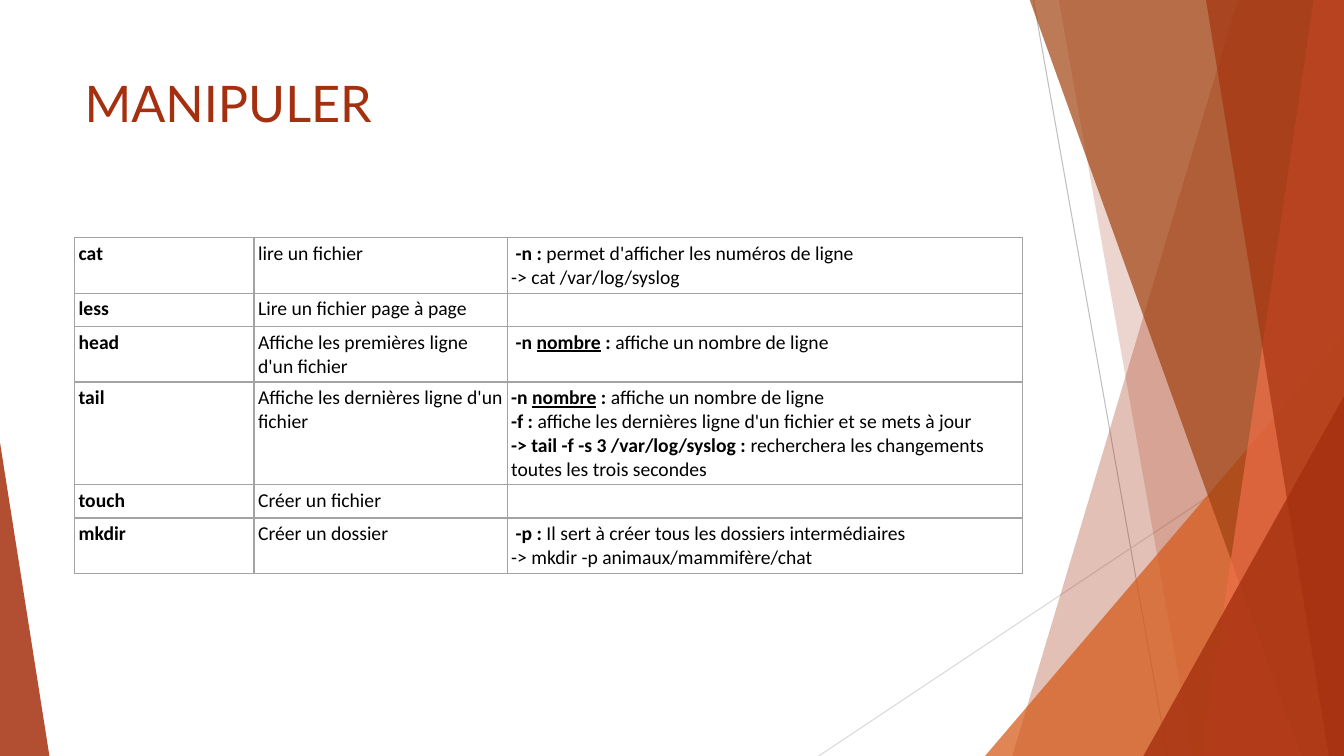
from collections import namedtuple
from dataclasses import dataclass

from lxml.etree import SubElement
from pptx import Presentation
from pptx.dml.color import RGBColor
from pptx.enum.shapes import MSO_CONNECTOR, MSO_SHAPE
from pptx.enum.text import MSO_ANCHOR
from pptx.oxml import parse_xml
from pptx.oxml.ns import nsdecls, qn
from pptx.util import Pt

PX = 9144
Box = namedtuple("Box", "left top width height")
Veil = namedtuple("Veil", "top_left bottom_left colour opacity")
Wedge = namedtuple("Wedge", "left top width height lean colour opacity")


@dataclass(frozen=True)
class Theme:
    """Colours, fonts and type sizes of the slide."""
    rust: str = "A5300F"
    orange: str = "D55816"
    brown: str = "A04210"
    coral: str = "EE6E4A"
    ink: str = "000000"
    grid: str = "A3A3A3"
    grey: str = "BFBFBF"
    pale: str = "D9D9D9"
    title_font: str = "Lato"
    body_font: str = "Calibri"
    title_size: int = 36
    body_size: int = 14
    hairline: float = 0.75
    border: int = 1


THEME = Theme()
PLAIN, BOLD = {"bold": False}, {"bold": True}
KEY = {"bold": True, "underline": True}

SLIDE = Box(0, 0, 1333, 750)
TITLE = Box(74, 67, 940, 144)
COMMANDS = Box(74, 236, 940, 333)

RAYS = [((1025, 0), (1158, 750), THEME.grey), ((1333, 403), (812, 750), THEME.pale)]
FACETS = [
    Veil(1228, 1004, THEME.rust, 30),
    Veil(1050, 1183, THEME.rust, 20),
    Wedge(977, 333, 356, 417, 1, THEME.orange, 72),
    Veil(1021, 1291, THEME.brown, 70),
    Veil(1303, 1192, THEME.coral, 70),
    Veil(1196, 1318, THEME.rust, 65),
    Wedge(1134, 393, 199, 357, 1, THEME.rust, 80),
    Wedge(0, 439, 49, 311, 0, THEME.rust, 85),
]

COLUMN_WIDTHS = [178, 251, 511]
ROW_HEIGHTS = [55, 33, 55, 102, 33, 55]
COUNT_OPTION = [("-n ", BOLD), ("nombre", KEY), (" : ", BOLD),
                ("affiche un nombre de ligne", PLAIN)]
INDENT = (" ", PLAIN)
ROWS = [
    ("cat", "lire un fichier", [
        [INDENT, ("-n : ", BOLD), ("permet d'afficher les numéros de ligne", PLAIN)],
        [("-> cat /var/log/syslog", PLAIN)]]),
    ("less", "Lire un fichier page à page", [[]]),
    ("head", "Affiche les premières ligne d'un fichier", [[INDENT, *COUNT_OPTION]]),
    ("tail", "Affiche les dernières ligne d'un fichier", [
        COUNT_OPTION,
        [("-f : ", BOLD),
         ("affiche les dernières ligne d'un fichier et se mets à jour", PLAIN)],
        [("-> tail -f -s 3 /var/log/syslog : ", BOLD),
         ("recherchera les changements toutes les trois secondes", PLAIN)]]),
    ("touch", "Créer un fichier", [[]]),
    ("mkdir", "Créer un dossier", [
        [INDENT, ("-p : ", BOLD),
         ("Il sert à créer tous les dossiers intermédiaires", PLAIN)],
        [("-> mkdir -p animaux/mammifère/chat", PLAIN)]]),
]


def to_emu(*lengths):
    """Turn px lengths into EMU."""
    return [length * PX for length in lengths]


def add_run(paragraph, wording, colour, formats):
    """Append a run with the given font values."""
    run = paragraph.add_run()
    run.text = wording
    run.font.color.rgb = RGBColor.from_string(colour)
    for name, value in formats.items():
        setattr(run.font, name, value)


def tint(facet_shape, colour, opacity):
    """Fill a facet with a translucent colour and no outline."""
    facet_shape.shadow.inherit = False
    facet_shape.line.fill.background()
    facet_shape.fill.solid()
    facet_shape.fill.fore_color.rgb = RGBColor.from_string(colour)
    srgb = facet_shape.fill._xPr.find(".//" + qn("a:srgbClr"))
    SubElement(srgb, qn("a:alpha"), val=str(opacity * 1000))


def add_ray(slide, box, start, end, colour):
    """Draw one thin line across the backdrop."""
    ray = slide.shapes.add_connector(
        MSO_CONNECTOR.STRAIGHT,
        *to_emu(box.left + start[0], box.top + start[1],
                box.left + end[0], box.top + end[1]))
    ray.line.color.rgb = RGBColor.from_string(colour)
    ray.line.width = Pt(THEME.hairline)
    SubElement(ray._element.spPr, qn("a:effectLst"))


def add_veil(slide, box, veil):
    """Draw a facet reaching from its slanted side to the right edge."""
    right, bottom, top = box.left + box.width, box.top + box.height, box.top - 1
    outline = slide.shapes.build_freeform(box.left + veil.top_left, top, scale=PX)
    outline.add_line_segments(
        [(right, top), (right, bottom), (box.left + veil.bottom_left, bottom)])
    tint(outline.convert_to_shape(), veil.colour, veil.opacity)


def add_wedge(slide, box, wedge):
    """Draw a right-angled triangle leaning on a side of the slide."""
    triangle = slide.shapes.add_shape(
        MSO_SHAPE.ISOSCELES_TRIANGLE,
        *to_emu(box.left + wedge.left, box.top + wedge.top, wedge.width, wedge.height))
    triangle.adjustments[0] = wedge.lean
    tint(triangle, wedge.colour, wedge.opacity)


def add_backdrop(slide, box):
    """Draw the rays and facets from back to front."""
    for start, end, colour in RAYS:
        add_ray(slide, box, start, end, colour)
    for facet in FACETS:
        draw = add_veil if isinstance(facet, Veil) else add_wedge
        draw(slide, box, facet)


def add_title(slide, box):
    """Write the slide title at the top of its box."""
    frame = slide.shapes.add_textbox(*to_emu(*box)).text_frame
    frame.word_wrap = True
    frame.vertical_anchor = MSO_ANCHOR.TOP
    add_run(frame.paragraphs[0], "MANIPULER", THEME.rust,
            {"name": THEME.title_font, "size": Pt(THEME.title_size)})


def add_borders(cell):
    """Give a cell a thin line on each side."""
    for position, side in enumerate("LRTB"):
        cell._tc.get_or_add_tcPr().insert(position, parse_xml(
            f'<a:ln{side} {nsdecls("a")} w="{Pt(THEME.border)}"><a:solidFill>'
            f'<a:srgbClr val="{THEME.grid}"/></a:solidFill></a:ln{side}>'))


def fill_cell(cell, paragraphs):
    """Write the paragraphs of one cell and style it."""
    for side in ("left", "right", "top", "bottom"):
        setattr(cell, f"margin_{side}", 4 * PX)
    cell.fill.background()
    add_borders(cell)
    body = {"name": THEME.body_font, "size": Pt(THEME.body_size)}
    for index, runs in enumerate(paragraphs):
        frame = cell.text_frame
        paragraph = frame.add_paragraph() if index else frame.paragraphs[0]
        for wording, formats in runs:
            add_run(paragraph, wording, THEME.ink, {**body, **formats})
        if not runs:
            SubElement(paragraph._p, qn("a:endParaRPr"), sz=str(THEME.body_size * 100))


def add_commands(slide, box):
    """Build the table of commands, purposes and options."""
    table = slide.shapes.add_table(
        len(ROWS), len(COLUMN_WIDTHS), *to_emu(*box)).table
    table.first_row = table.horz_banding = False
    for column, width in zip(table.columns, COLUMN_WIDTHS):
        column.width = width * PX
    for row, height, (command, purpose, options) in zip(table.rows, ROW_HEIGHTS, ROWS):
        row.height = height * PX
        contents = ([[(command, BOLD)]], [[(purpose, PLAIN)]], options)
        for cell, paragraphs in zip(row.cells, contents):
            fill_cell(cell, paragraphs)


def main():
    """Build and save the slide."""
    deck = Presentation()
    deck.slide_width, deck.slide_height = to_emu(SLIDE.width, SLIDE.height)
    slide = deck.slides.add_slide(deck.slide_layouts[6])
    add_backdrop(slide, SLIDE)
    add_title(slide, TITLE)
    add_commands(slide, COMMANDS)
    deck.save("out.pptx")


if __name__ == "__main__":
    main()
